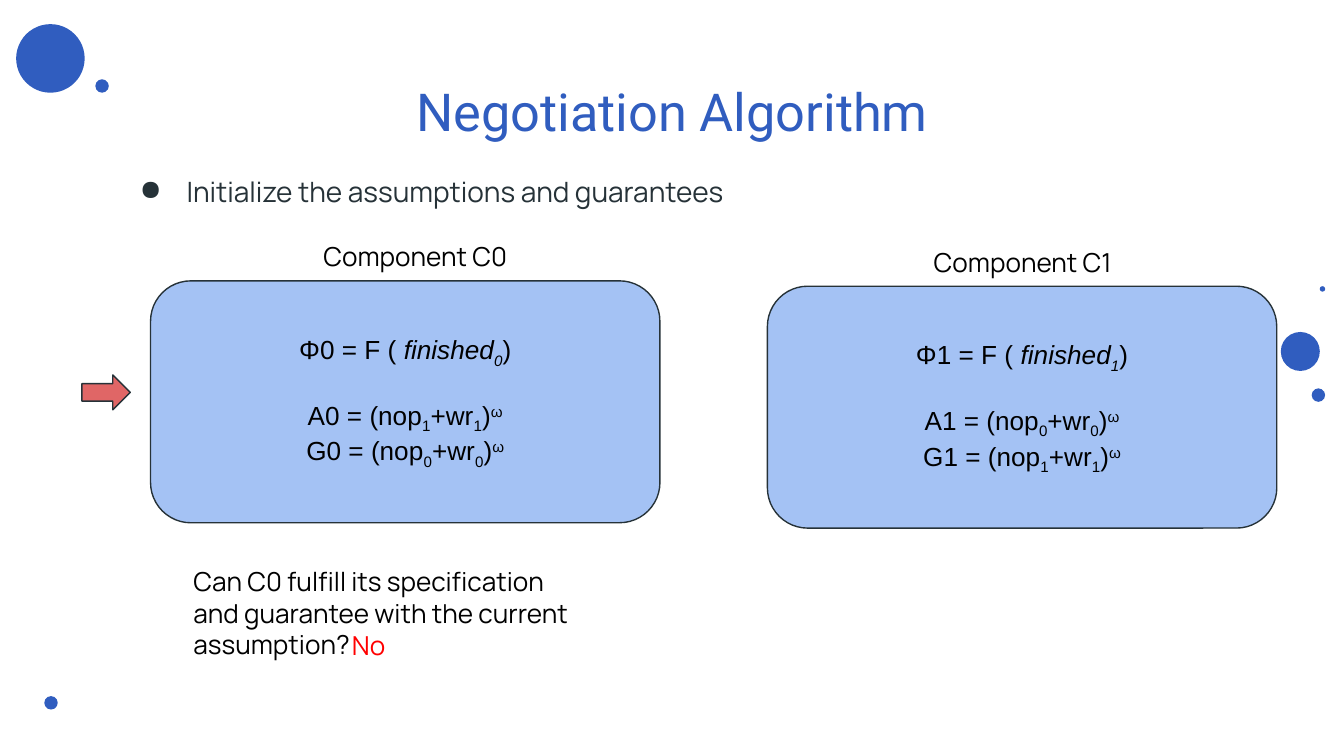
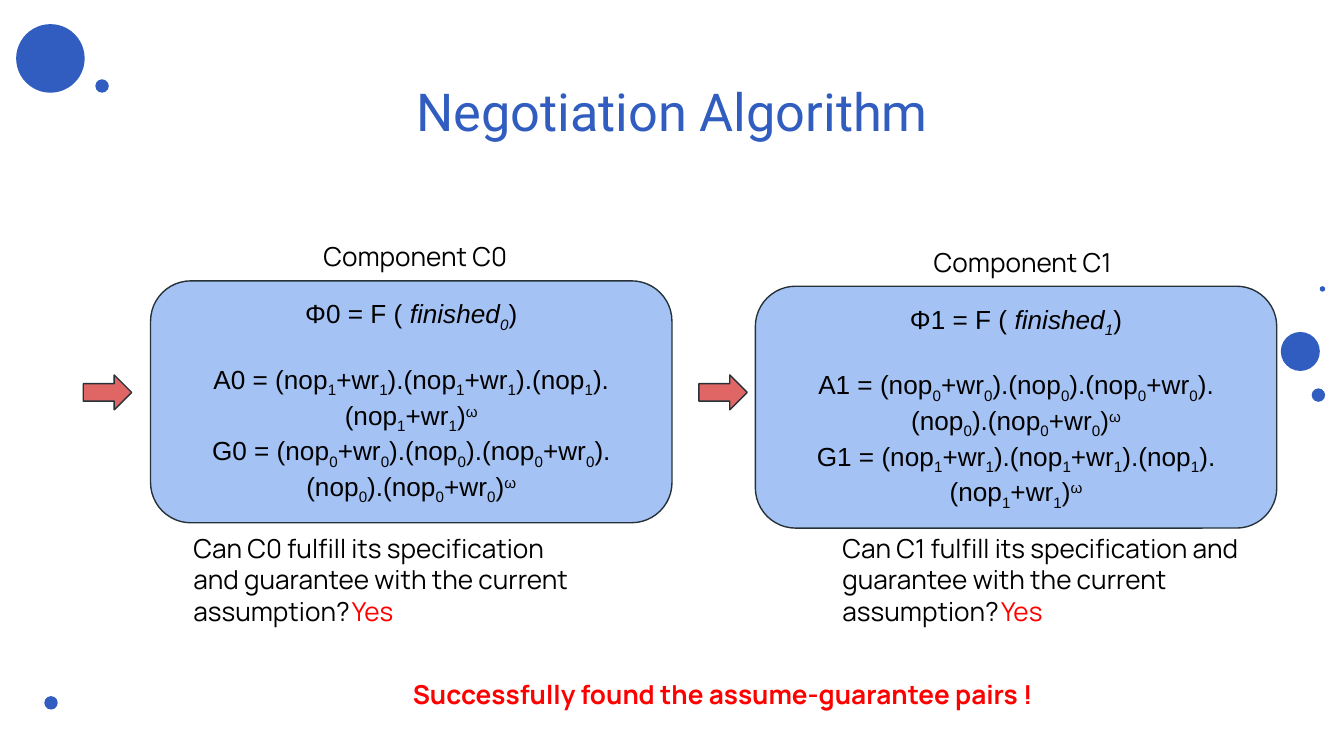
from lxml import etree
from pptx import Presentation
from pptx.dml.color import RGBColor
from pptx.enum.shapes import MSO_SHAPE as SHAPE
from pptx.enum.text import MSO_ANCHOR as ANCHOR, PP_ALIGN as ALIGN
from pptx.oxml.ns import qn
from pptx.util import Inches, Pt

BLUE = RGBColor(0x30, 0x5D, 0xBF)
PALE_BLUE = RGBColor(0xA4, 0xC2, 0xF4)
CORAL = RGBColor(0xE0, 0x66, 0x66)
RED = RGBColor(0xFF, 0x00, 0x00)
BLACK = RGBColor(0x00, 0x00, 0x00)
SLATE = RGBColor(0x26, 0x32, 0x38)

DOTS = [
    (0.12, 0.18, 0.51),
    (0.71, 0.59, 0.1),
    (9.53, 2.47, 0.29),
    (9.76, 2.89, 0.1),
    (9.82, 2.13, 0.04),
    (0.33, 5.18, 0.1),
]
LABEL_LEFTS = [1.5, 6.02]
BOX_TOPS = [2.09, 2.13]
QUESTION_LEFTS = [1.34, 6.17]
BOXES_LEFT, BOXES_RIGHT = 1.12, 9.5

INITIAL_TRACES = [["nop+wr"], ["nop+wr"]]
FINAL_TRACES = [
    ["nop+wr", "nop", "nop+wr", "nop", "nop+wr"],
    ["nop+wr", "nop+wr", "nop", "nop+wr"],
]


class Deck:
    def __init__(self):
        self.prs = Presentation()
        self.prs.slide_width = Inches(10)
        self.prs.slide_height = Inches(5.625)
        self.s = None

    def new_slide(self, title):
        self.s = self.prs.slides.add_slide(self.prs.slide_layouts[6])
        for x, y, size in DOTS:
            self.shape(SHAPE.OVAL, x, y, size, size, BLUE)
        self.text(title, 0.75, 0.49, 8.5, 0.63, size=28, font="Roboto",
                  color=BLUE, align=ALIGN.CENTER)

    def shape(self, kind, x, y, w, h, fill, line=None):
        sp = self.s.shapes.add_shape(kind, Inches(x), Inches(y), Inches(w), Inches(h))
        sp.shadow.inherit = False
        sp.fill.solid()
        sp.fill.fore_color.rgb = fill
        if line is None:
            sp.line.fill.background()
        else:
            sp.line.color.rgb = line
            sp.line.width = Pt(0.75)
        return sp

    def frame(self, sp, anchor=ANCHOR.TOP):
        tf = sp.text_frame
        tf.word_wrap = True
        tf.vertical_anchor = anchor
        tf.margin_left = tf.margin_right = Inches(0.1)
        tf.margin_top = tf.margin_bottom = Inches(0.1)
        return tf

    def style(self, p, size, font, color, align, bold=False):
        p.alignment = align
        p.font.size = Pt(size)
        p.font.name = font
        p.font.bold = bold
        p.font.color.rgb = color

    def text(self, text, x, y, w, h, size=14, font="Manrope", color=BLACK,
             align=ALIGN.LEFT, bold=False):
        sp = self.s.shapes.add_textbox(Inches(x), Inches(y), Inches(w), Inches(h))
        p = self.frame(sp).paragraphs[0]
        p.text = text
        self.style(p, size, font, color, align, bold)
        return p

    def bullet(self, text, x, y, w, h):
        p = self.text(text, x, y, w, h, size=15, color=SLATE)
        pPr = p._p.get_or_add_pPr()
        pPr.set("marL", str(Inches(0.5)))
        pPr.set("indent", str(Inches(-0.35)))
        bu = etree.Element(qn("a:buChar"), char="●")
        pPr.insert(0, bu)

    def run(self, p, text, baseline=0, italic=False):
        r = p.add_run()
        r.text = text
        if italic:
            r.font.italic = True
        if baseline:
            r._r.get_or_add_rPr().set("baseline", str(baseline * 1000))

    def trace(self, p, name, steps, index):
        lead = f"{name} = ("
        for step in steps:
            for action in step.split("+"):
                self.run(p, lead + action)
                self.run(p, str(index), baseline=-25)
                lead = "+"
            lead = ").("
        self.run(p, ")")
        self.run(p, "ω", baseline=30)

    def component(self, i, width, traces):
        x = BOXES_RIGHT - width if i else BOXES_LEFT
        y = BOX_TOPS[i]
        sp = self.shape(SHAPE.ROUNDED_RECTANGLE, x, y, width, 1.8, PALE_BLUE, SLATE)
        tf = self.frame(sp, ANCHOR.MIDDLE)
        goal, assumption, guarantee = tf.paragraphs[0], tf.add_paragraph(), tf.add_paragraph()
        self.run(goal, f"Φ{i} = F ( ")
        self.run(goal, "finished", italic=True)
        self.run(goal, str(i), baseline=-25, italic=True)
        self.run(goal, ")")
        self.trace(assumption, f"A{i}", traces[1 - i], 1 - i)
        self.trace(guarantee, f"G{i}", traces[i], i)
        for p in tf.paragraphs:
            self.style(p, 14, "Arial", BLACK, ALIGN.CENTER)
        assumption.space_before = Pt(16)
        self.text(f"Component C{i}", LABEL_LEFTS[i], y - 0.4, 3.18, 0.44,
                  align=ALIGN.CENTER)

    def arrow(self, x):
        self.shape(SHAPE.RIGHT_ARROW, x, 2.79, 0.36, 0.26, CORAL, SLATE)

    def question(self, i, y, answer):
        x = QUESTION_LEFTS[i]
        self.text(f"Can C{i} fulfill its specification and guarantee "
                  "with the current assumption?", x, y, 3.16, 0.91)
        self.text(answer, x + 1.18, y + 0.47, 0.64, 0.44, color=RED)


def main():
    deck = Deck()

    deck.new_slide("Negotiation Algorithm")
    deck.bullet("Initialize the assumptions and guarantees", 0.79, 1.2, 8.85, 0.53)
    for i in range(2):
        deck.component(i, 3.79, INITIAL_TRACES)
    deck.arrow(0.61)
    deck.question(0, 4.11, "No")

    deck.new_slide("Negotiation Algorithm")
    for i, arrow_left in enumerate([0.62, 5.2]):
        deck.component(i, 3.88, FINAL_TRACES)
        deck.arrow(arrow_left)
        deck.question(i, 3.86, "Yes")
    deck.text("Successfully found the assume-guarantee pairs !", 2.61, 4.95, 5.54, 0.44,
              color=RED, align=ALIGN.CENTER, bold=True)

    deck.prs.save("out.pptx")


if __name__ == "__main__":
    main()
